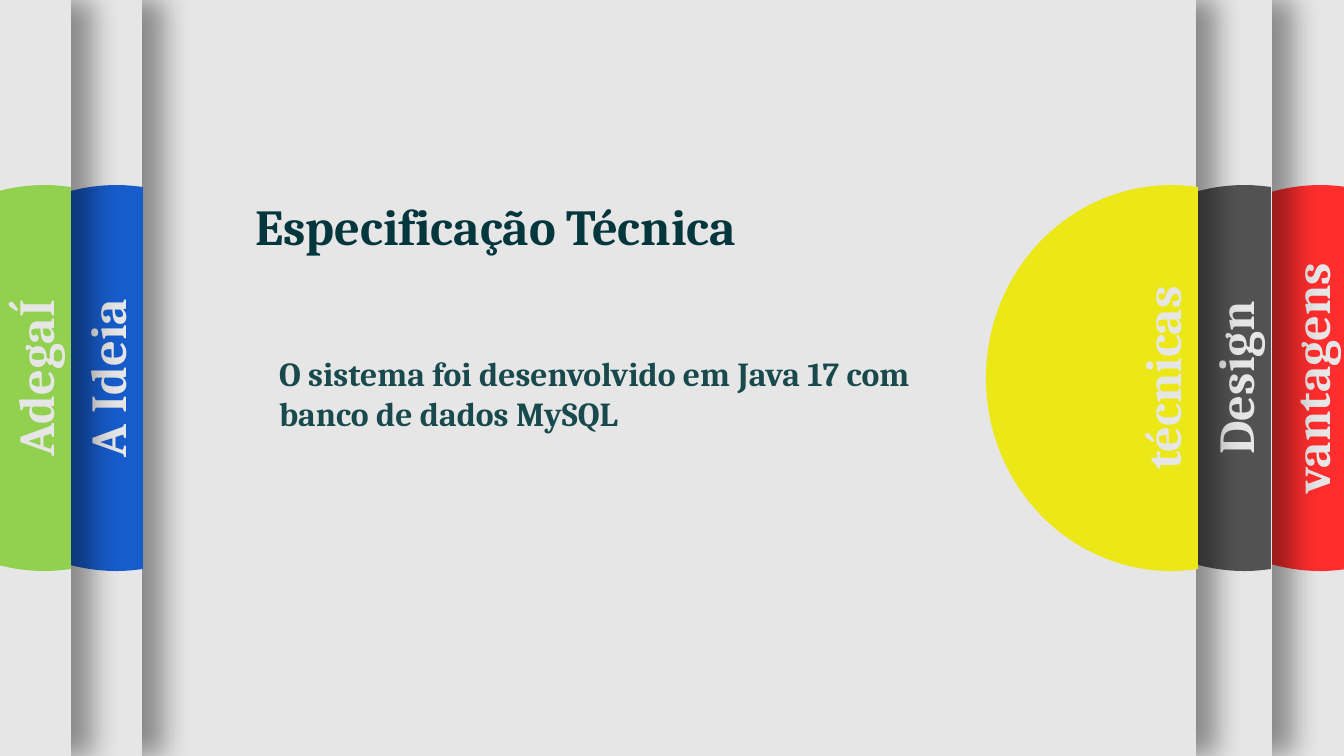
from lxml import etree
from pptx import Presentation
from pptx.dml.color import RGBColor
from pptx.enum.shapes import MSO_SHAPE
from pptx.enum.text import MSO_ANCHOR, MSO_AUTO_SIZE, PP_ALIGN
from pptx.oxml.ns import qn
from pptx.util import Pt

RECTANGLE = MSO_SHAPE.RECTANGLE
TOP = MSO_ANCHOR.TOP
GROW = MSO_AUTO_SIZE.SHAPE_TO_FIT_TEXT
LEFT, CENTER = PP_ALIGN.LEFT, PP_ALIGN.CENTER

SLIDE_W, SLIDE_H = 1344, 756
EMU_PER_PX = 12192000 / SLIDE_W
FONT = "Cambria"
PANEL_COLOR = "E7E6E6"
TAB_W, TAB_H = 212, 386
LABEL_W, LABEL_H, LABEL_INSET = 269, 72, 36

UPPER_CURVE = [
    (212, 2), (204, 1), (195, 0), (186, 0),
    (83, 0), (0, 86), (0, 193),
]
LOWER_CURVE = [(x, TAB_H - y) for x, y in reversed(UPPER_CURVE[:-1])]

TABS = [
    ("vantagens", 1347, 1347, "FF2D2D"),
    ("Design", 1272, 1271, "525252"),
    ("técnicas", 1196, 1198, "ECE717"),
    ("A Ideia", 142, 143, "175CCB"),
    ("AdegaÍ", 71, 71, "92D050"),
]


def px(value):
    return round(value * EMU_PER_PX)


def rgb(color):
    return RGBColor.from_string(color)


def paint(shape, color):
    shape.fill.solid()
    shape.fill.fore_color.rgb = rgb(color)
    shape.line.fill.background()
    shape.shadow.inherit = False


def cast_shadow(shape):
    effects = shape._element.spPr.find(qn("a:effectLst"))
    shadow = etree.SubElement(
        effects, qn("a:outerShdw"), blurRad=str(Pt(20)), dist=str(Pt(15)),
        dir="0", algn="l", rotWithShape="0")
    black = etree.SubElement(shadow, qn("a:srgbClr"), val="000000")
    etree.SubElement(black, qn("a:alpha"), val="40000")


def write(shape, text, size, color, align):
    frame = shape.text_frame
    frame.text = text
    frame.word_wrap = True
    frame.auto_size = GROW
    frame.vertical_anchor = TOP
    paragraph = frame.paragraphs[0]
    paragraph.alignment = align
    if shape.is_placeholder:
        remove_bullet(paragraph)
    font = paragraph.font
    font.name, font.size, font.bold = FONT, Pt(size), True
    font.color.rgb = rgb(color)


def remove_bullet(paragraph):
    paragraph.space_before = Pt(0)
    properties = paragraph._p.get_or_add_pPr()
    properties.set("marL", "0")
    properties.set("indent", "0")
    etree.SubElement(properties, qn("a:buNone"))


def bend(shape):
    segments = list(shape._element.iter(qn("a:lnTo")))
    for first in range(0, len(segments), 3):
        curve = etree.Element(qn("a:cubicBezTo"))
        segments[first].addprevious(curve)
        for segment in segments[first:first + 3]:
            curve.append(segment[0])
            segment.getparent().remove(segment)


def add_tab(shapes, right, color):
    left, top = right - TAB_W, (SLIDE_H - TAB_H) / 2
    outline = [(px(left + x), px(top + y)) for x, y in UPPER_CURVE + LOWER_CURVE]
    builder = shapes.build_freeform(*outline[0])
    builder.add_line_segments(outline[1:], close=True)
    tab = builder.convert_to_shape()
    bend(tab)
    paint(tab, color)


def add_panel(slide, name, panel_right, tab_right, color):
    shapes = slide.shapes.add_group_shape().shapes
    panel = shapes.add_shape(
        RECTANGLE, px(panel_right - SLIDE_W), 0, px(SLIDE_W), px(SLIDE_H))
    paint(panel, PANEL_COLOR)
    cast_shadow(panel)
    add_tab(shapes, tab_right, color)
    label = shapes.add_textbox(
        px(tab_right - LABEL_INSET - LABEL_W / 2), px((SLIDE_H - LABEL_H) / 2),
        px(LABEL_W), px(LABEL_H))
    label.rotation = 270
    write(label, name, 36, PANEL_COLOR, CENTER)


def fill_placeholder(slide, placeholder, box, text, size, color):
    slide.shapes._spTree.append(placeholder._element)
    placeholder.left, placeholder.top, placeholder.width, placeholder.height = map(px, box)
    write(placeholder, text, size, color, LEFT)


def main():
    deck = Presentation()
    deck.slide_width, deck.slide_height = px(SLIDE_W), px(SLIDE_H)
    slide = deck.slides.add_slide(deck.slide_layouts[1])
    for tab in TABS:
        add_panel(slide, *tab)
    title, body = slide.shapes.title, slide.placeholders[1]
    fill_placeholder(
        slide, body, (269, 348, 711, 92),
        "O sistema foi desenvolvido em Java 17 com banco de dados MySQL", 24, "17494D")
    fill_placeholder(
        slide, title, (245, 190, 637, 102), "Especificação Técnica", 36, "03363D")
    deck.save("out.pptx")


if __name__ == "__main__":
    main()
